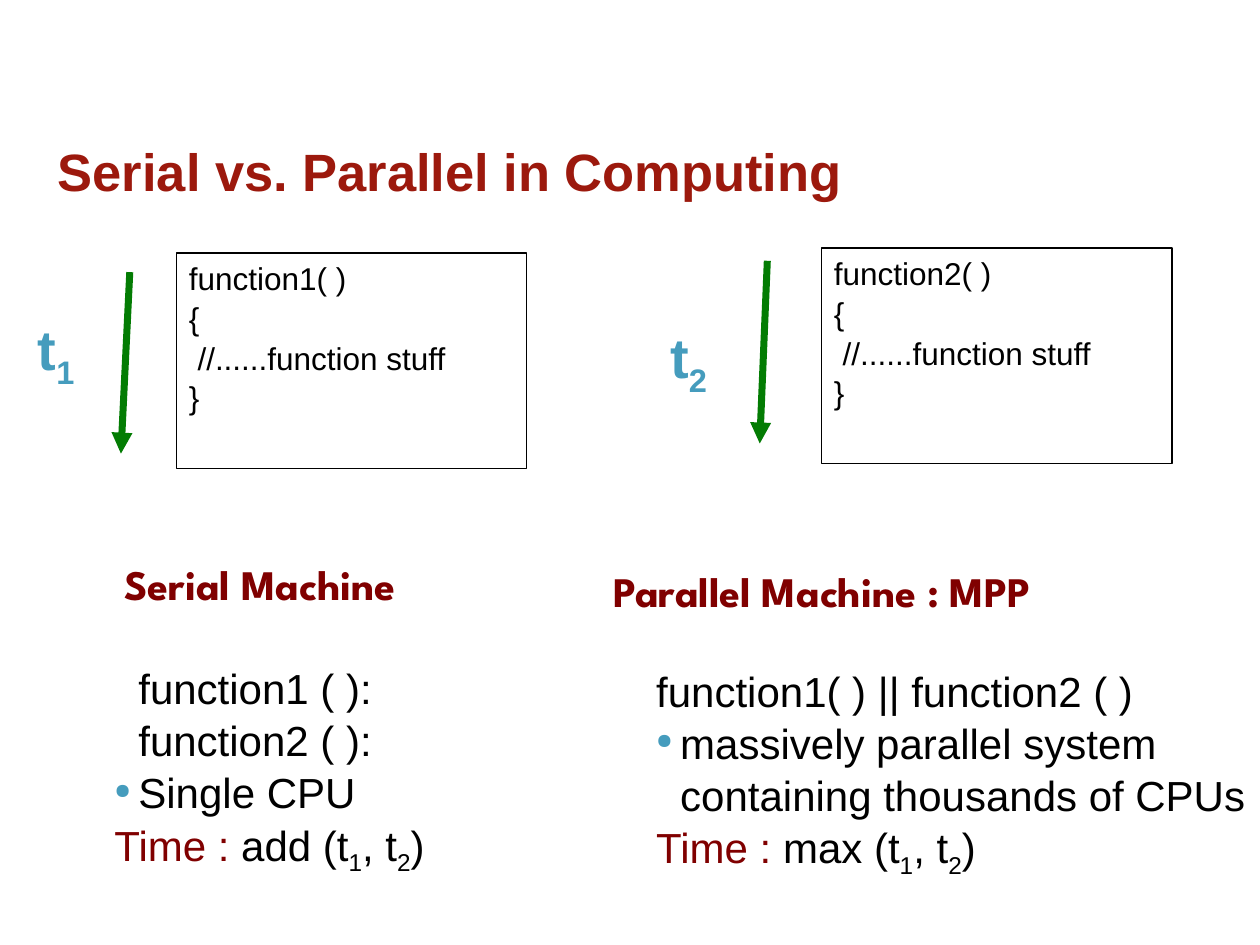
from dataclasses import dataclass, field

from lxml import etree
from pptx import Presentation
from pptx.dml.color import RGBColor
from pptx.enum.shapes import MSO_CONNECTOR, MSO_SHAPE
from pptx.enum.text import MSO_ANCHOR, PP_ALIGN
from pptx.oxml.ns import qn
from pptx.util import Inches, Pt

TOP, MIDDLE = MSO_ANCHOR.TOP, MSO_ANCHOR.MIDDLE
LEFT = PP_ALIGN.LEFT
RECTANGLE = MSO_SHAPE.RECTANGLE
STRAIGHT = MSO_CONNECTOR.STRAIGHT
COLUMNS, ROWS = 100, 75
INDENT = 1.9


@dataclass
class Theme:
    black: str = "000000"
    green: str = "037C03"
    blue: str = "459CBD"
    maroon: str = "800000"
    styles: dict = field(default_factory=lambda: {
        "title": {"name": "Arial", "size": Pt(30), "bold": True, "color": "9C190D"},
        "code": {"name": "Arial", "size": Pt(18), "color": Theme.black},
        "time": {"name": "Arial", "size": Pt(32), "bold": True, "color": Theme.blue},
        "heading": {"name": "League Spartan", "size": Pt(24), "bold": True, "color": Theme.maroon},
        "body": {"name": "Arial", "size": Pt(24), "color": Theme.black},
        "label": {"name": "Arial", "size": Pt(24), "color": Theme.maroon},
    })


class SlideBuilder:
    def __init__(self, presentation, theme):
        self.theme = theme
        self.slide = presentation.slides.add_slide(presentation.slide_layouts[6])
        self.column = presentation.slide_width / COLUMNS
        self.row = presentation.slide_height / ROWS

    def place(self, left, top, width, height):
        return (round(left * self.column), round(top * self.row),
                round(width * self.column), round(height * self.row))

    def add_run(self, paragraph, text, style, subscript=False):
        run = paragraph.add_run()
        run.text = text
        for name, value in self.theme.styles[style].items():
            if name == "color":
                run.font.color.rgb = RGBColor.from_string(value)
            else:
                setattr(run.font, name, value)
        if subscript:
            run.font._element.set("baseline", "-25000")

    def add_lines(self, shape, lines, anchor=TOP, **spacing):
        frame = shape.text_frame
        settings = {"word_wrap": True, "vertical_anchor": anchor, "margin_right": 0}
        for name, value in settings.items():
            setattr(frame, name, value)
        for number, (layout, runs) in enumerate(lines):
            paragraph = frame.paragraphs[0] if number == 0 else frame.add_paragraph()
            for name, value in {"alignment": LEFT, **spacing}.items():
                setattr(paragraph, name, value)
            if layout != "plain":
                self.indent(paragraph, layout == "bullet")
            for run in runs:
                self.add_run(paragraph, *run)

    def indent(self, paragraph, bullet):
        properties = paragraph._p.get_or_add_pPr()
        margin = round(INDENT * self.column)
        properties.set("marL", str(margin))
        properties.set("indent", str(-margin if bullet else 0))
        if bullet:
            color = etree.SubElement(properties, qn("a:buClr"))
            etree.SubElement(color, qn("a:srgbClr"), val=self.theme.blue)
            etree.SubElement(properties, qn("a:buSzPct"), val="50000")
            etree.SubElement(properties, qn("a:buChar"), char="●")

    def text(self, area, lines, **options):
        self.add_lines(self.slide.shapes.add_textbox(*self.place(*area)), lines, **options)

    def box(self, area, lines, **options):
        shape = self.slide.shapes.add_shape(RECTANGLE, *self.place(*area))
        shape.shadow.inherit = False
        shape.fill.background()
        shape.line.color.rgb = RGBColor.from_string(self.theme.black)
        shape.line.width = Pt(1)
        self.add_lines(shape, lines, **options)

    def arrow(self, start, end):
        connector = self.slide.shapes.add_connector(STRAIGHT, *self.place(*start, *end))
        connector.line.color.rgb = RGBColor.from_string(self.theme.green)
        connector.line.width = Pt(4)
        etree.SubElement(connector.line._get_or_add_ln(), qn("a:tailEnd"), type="triangle")
        etree.SubElement(connector._element.spPr, qn("a:effectLst"))


def plain(text, style):
    return "plain", [(text, style)]


def time_line(operation):
    return "plain", [("Time : ", "label"), (f"{operation} (t", "body"), ("1", "body", True),
                     (", t", "body"), ("2", "body", True), (")", "body")]


def code_lines(number):
    return [plain(text, "code")
            for text in (f"function{number}( )", "{", " //......function stuff", "}")]


PANELS = [
    {"code": (14, 20.1, 27.8, 17.1), "arrow": ((10.3, 21.6), (9.6, 36)),
     "time": (2, 24.5, 4.9, 6.3),
     "heading": ("Serial Machine", (8.9, 42.2, 26.7, 8.8)),
     "body": (8.1, 52.1, 27.2, 17.2),
     "lines": [("indent", [("function1 ( ):", "body")]),
               ("indent", [("function2 ( ):", "body")]),
               ("bullet", [("Single CPU", "body")]),
               time_line("add")]},
    {"code": (65.2, 19.7, 27.8, 17.1), "arrow": ((60.9, 20.7), (60.3, 35.2)),
     "time": (52.2, 25.1, 4.9, 6.3),
     "heading": ("Parallel Machine : MPP", (47.7, 43.3, 44.6, 7.7)),
     "body": (51.1, 52.3, 49.1, 17.1),
     "lines": [plain("function1( ) || function2 ( )", "body"),
               ("bullet", [("massively parallel system", "body")]),
               ("indent", [("containing thousands of CPUs", "body")]),
               time_line("max")]},
]


def main():
    presentation = Presentation()
    presentation.slide_width, presentation.slide_height = Inches(10), Inches(7.5)
    builder = SlideBuilder(presentation, Theme())
    builder.text((3.6, 9.9, 92.8, 7.2), [plain("Serial vs. Parallel in Computing", "title")],
                 anchor=MIDDLE)
    for number, panel in enumerate(PANELS, 1):
        builder.box(panel["code"], code_lines(number), space_before=Pt(1))
        builder.arrow(*panel["arrow"])
        builder.text(panel["time"], [("plain", [("t", "time"), (str(number), "time", True)])])
        heading, area = panel["heading"]
        builder.text(area, [plain(heading, "heading")], anchor=MIDDLE, line_spacing=0.9)
        builder.text(panel["body"], panel["lines"], space_before=Pt(1))
    presentation.save("out.pptx")


if __name__ == "__main__":
    main()
